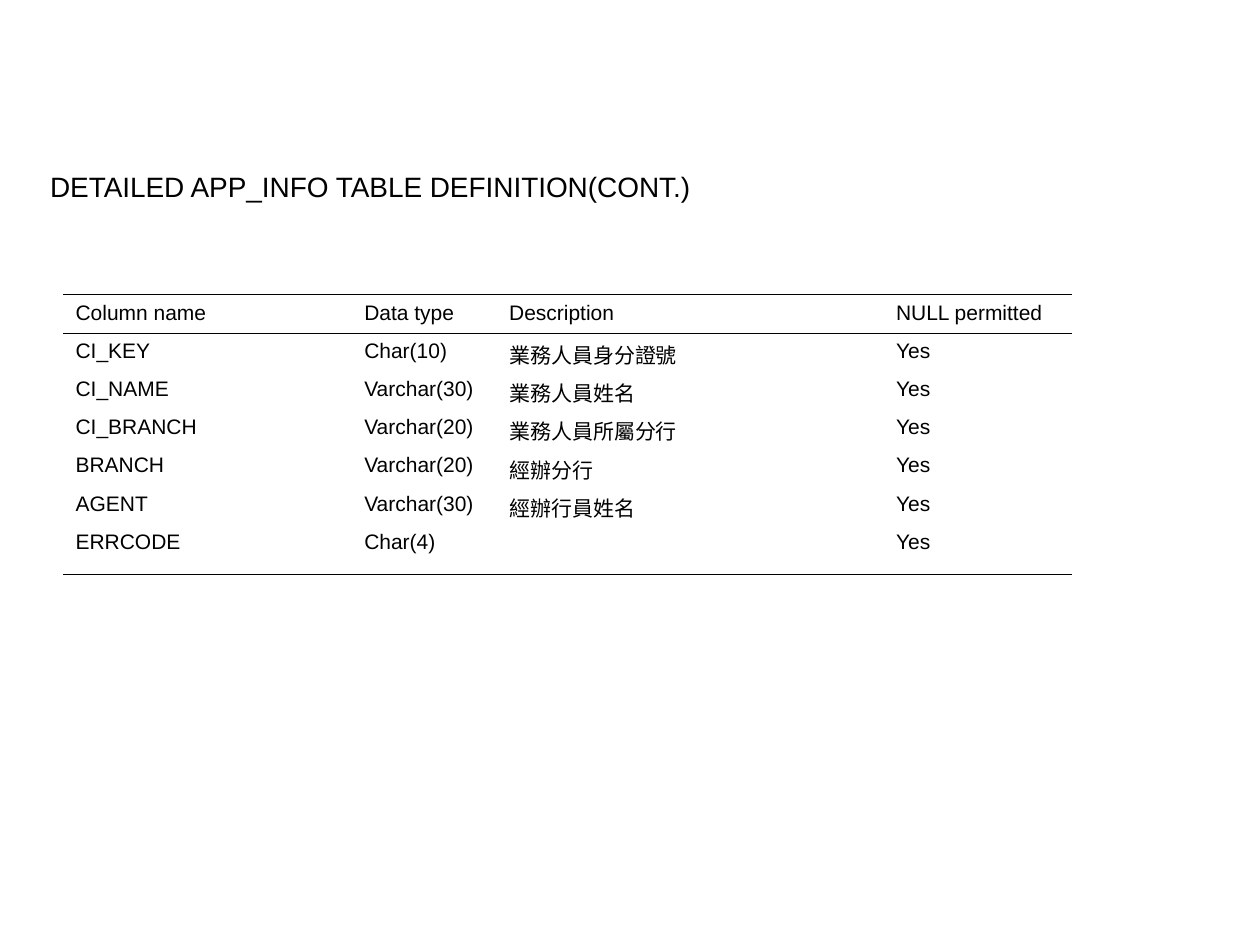
from pptx import Presentation
from pptx.dml.color import RGBColor
from pptx.enum.text import MSO_AUTO_SIZE
from pptx.oxml.ns import qn
from pptx.util import Cm, Pt
from lxml.etree import SubElement

COLORS = {"ink": "000000", "paper": "FFFFFF"}
FONT = "Arial"
TITLE = "DETAILED APP_INFO TABLE DEFINITION(CONT.)"
COLUMN_WIDTHS = [5.82, 2.92, 7.8, 3.8]
ROW_HEIGHT = 0.77
OUTER_RULE, HEADER_RULE = 0.75, 0.45
ROWS = [
    ("Column name", "Data type", "Description", "NULL permitted"),
    ("CI_KEY", "Char(10)", "業務人員身分證號", "Yes"),
    ("CI_NAME", "Varchar(30)", "業務人員姓名", "Yes"),
    ("CI_BRANCH", "Varchar(20)", "業務人員所屬分行", "Yes"),
    ("BRANCH", "Varchar(20)", "經辦分行", "Yes"),
    ("AGENT", "Varchar(30)", "經辦行員姓名", "Yes"),
    ("ERRCODE", "Char(4)", "", "Yes"),
]


def write_text(frame, text, size):
    para = frame.paragraphs[0]
    para.text = text
    para.font.name = FONT
    para.font.size = Pt(size)
    para.font.bold = False
    para.font.color.rgb = RGBColor.from_string(COLORS["ink"])


def set_borders(cell, top, bottom):
    properties = cell._tc.get_or_add_tcPr()
    for side, width in (("L", 0), ("R", 0), ("T", top), ("B", bottom)):
        line = SubElement(properties, qn(f"a:ln{side}"), w=str(Pt(width)))
        if width:
            fill = SubElement(line, qn("a:solidFill"))
            SubElement(fill, qn("a:srgbClr"), val=COLORS["ink"])
        else:
            SubElement(line, qn("a:noFill"))


def add_title(page, left, top, width, height):
    box = page.shapes.add_textbox(Cm(left), Cm(top), Cm(width), Cm(height))
    box.text_frame.word_wrap = True
    box.text_frame.auto_size = MSO_AUTO_SIZE.SHAPE_TO_FIT_TEXT
    write_text(box.text_frame, TITLE, 16)


def add_definition_table(page, left, top):
    width, height = sum(COLUMN_WIDTHS), ROW_HEIGHT * len(ROWS)
    table = page.shapes.add_table(
        len(ROWS), len(COLUMN_WIDTHS), Cm(left), Cm(top), Cm(width), Cm(height)
    ).table
    table.first_row = False
    table.horz_banding = False
    for column, column_width in zip(table.columns, COLUMN_WIDTHS):
        column.width = Cm(column_width)
    rules = [OUTER_RULE, HEADER_RULE] + [0] * (len(ROWS) - 2) + [OUTER_RULE]
    for row_index, values in enumerate(ROWS):
        table.rows[row_index].height = Cm(ROW_HEIGHT)
        for column_index, value in enumerate(values):
            cell = table.cell(row_index, column_index)
            set_borders(cell, rules[row_index], rules[row_index + 1])
            cell.fill.background()
            if value:
                write_text(cell.text_frame, value, 12)


def main():
    deck = Presentation()
    deck.slide_width, deck.slide_height = Cm(25.4), Cm(19.05)
    page = deck.slides.add_slide(deck.slide_layouts[6])
    page.background.fill.solid()
    page.background.fill.fore_color.rgb = RGBColor.from_string(COLORS["paper"])
    add_title(page, 0.76, 3.3, 23.6, 0.94)
    add_definition_table(page, 1.27, 5.94)
    deck.save("out.pptx")


if __name__ == "__main__":
    main()
